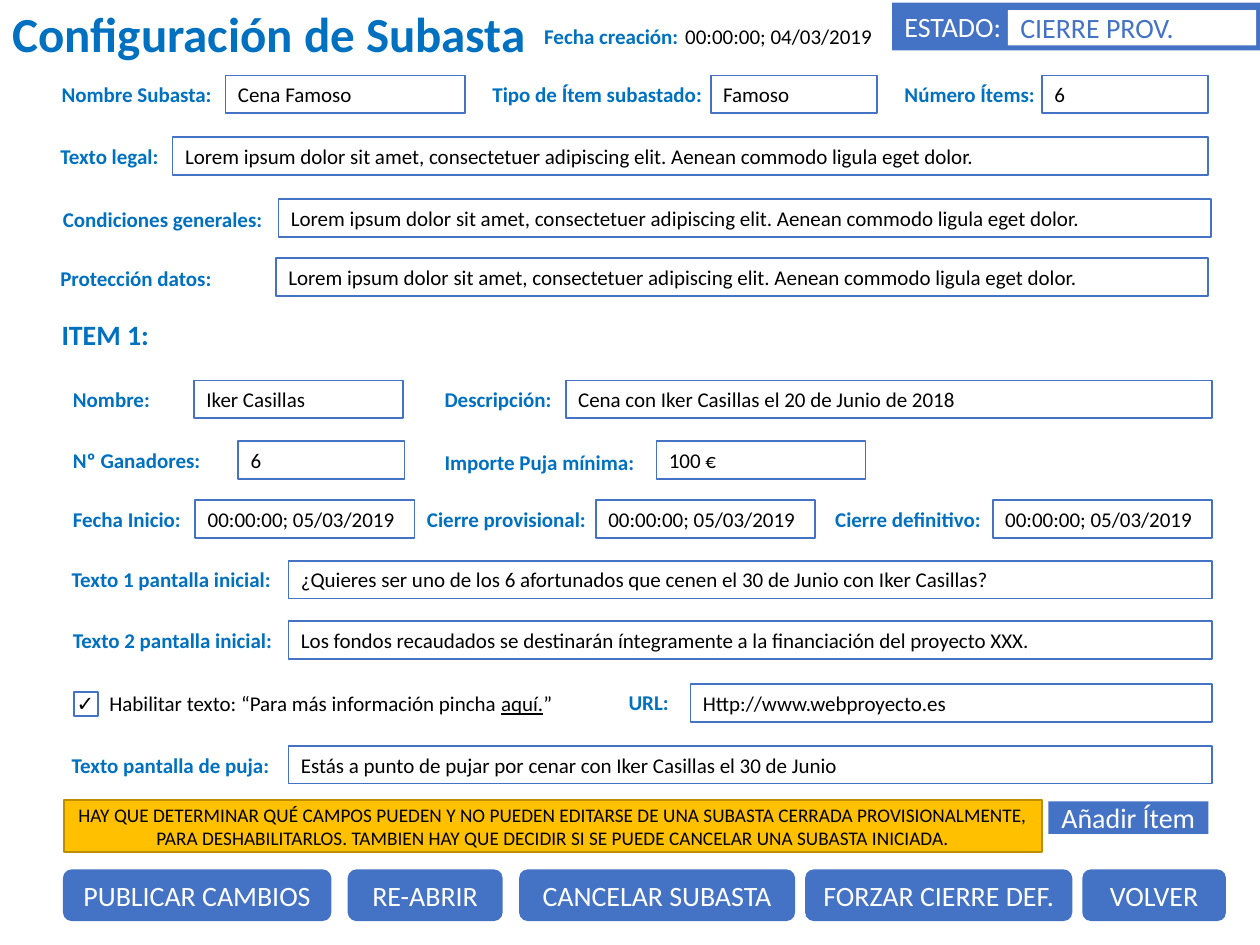
from pptx import Presentation
from pptx.dml.color import RGBColor
from pptx.enum.shapes import MSO_SHAPE
from pptx.enum.text import MSO_ANCHOR, MSO_AUTO_SIZE, PP_ALIGN
from pptx.util import Inches, Pt

RECT, ROUNDED = MSO_SHAPE.RECTANGLE, MSO_SHAPE.ROUNDED_RECTANGLE
LEFT, CENTER = PP_ALIGN.LEFT, PP_ALIGN.CENTER
TOP, MIDDLE = MSO_ANCHOR.TOP, MSO_ANCHOR.MIDDLE
COLORS = {"label": "0070C0", "accent": "4472C4", "text": "000000",
          "white": "FFFFFF", "warning": "FFC000", "warning_edge": "BD8E00"}
ROW_HEIGHT = 0.3
LOREM = ("Lorem ipsum dolor sit amet, consectetuer adipiscing elit. "
         "Aenean commodo ligula eget dolor.")


def write(shape, text, size=12, color="text", bold=False, align=LEFT, anchor=MIDDLE, wrap=True):
    frame = shape.text_frame
    frame.text = text
    frame.word_wrap = wrap
    frame.auto_size = MSO_AUTO_SIZE.NONE
    frame.vertical_anchor = anchor
    paragraph = frame.paragraphs[0]
    paragraph.alignment = align
    font = paragraph.runs[0].font
    font.name, font.size, font.bold = "Calibri", Pt(size), bold
    font.color.rgb = RGBColor.from_string(COLORS[color])
    return paragraph


def add_box(left, top, width, height, fill=None, line=None, kind=RECT):
    box = page.shapes.add_shape(kind, Inches(left), Inches(top), Inches(width), Inches(height))
    box.shadow.inherit = False
    if fill:
        box.fill.solid()
        box.fill.fore_color.rgb = RGBColor.from_string(COLORS[fill])
    else:
        box.fill.background()
    if line:
        box.line.color.rgb = RGBColor.from_string(COLORS[line])
        box.line.width = Pt(1)
    else:
        box.line.fill.background()
    return box


deck = Presentation()
deck.slide_width, deck.slide_height = Inches(10), Inches(7.5)
page = deck.slides.add_slide(deck.slide_layouts[5])

title = page.shapes.title
title.left, title.top = Inches(0), Inches(-0.02)
title.width, title.height = Inches(7.83), Inches(0.57)
write(title, "Configuración de Subasta", 28, "label", True, anchor=TOP)

# Labels: text, left, top, width
labels = [
    ("Fecha creación:", 4.22, 0.14, 1.28),
    ("Nombre Subasta:", 0.39, 0.6, 1.4),
    ("Tipo de Ítem subastado:", 3.81, 0.6, 1.89),
    ("Número Ítems:", 7.08, 0.6, 1.25),
    ("Texto legal:", 0.38, 1.09, 0.99),
    ("Condiciones generales:", 0.4, 1.59, 1.81),
    ("Protección datos:", 0.38, 2.06, 1.41),
    ("Nombre:", 0.48, 3.02, 0.82),
    ("Descripción:", 3.43, 3.02, 1.06),
    ("Nº Ganadores:", 0.48, 3.5, 1.22),
    ("Importe Puja mínima:", 3.43, 3.52, 1.73),
    ("Fecha Inicio:", 0.48, 3.97, 1.07),
    ("Cierre provisional:", 3.29, 3.97, 1.52),
    ("Cierre definitivo:", 6.53, 3.97, 1.41),
    ("Texto 1 pantalla inicial:", 0.47, 4.45, 1.81),
    ("Texto 2 pantalla inicial:", 0.48, 4.93, 1.81),
    ("URL:", 4.89, 5.42, 0.52),
    ("Texto pantalla de puja:", 0.47, 5.92, 1.79),
]
for text, left, top, width in labels:
    label = page.shapes.add_textbox(Inches(left), Inches(top), Inches(width), Inches(ROW_HEIGHT))
    write(label, text, color="label", bold=True, anchor=TOP, wrap=False)

item_heading = page.shapes.add_textbox(Inches(0.39), Inches(2.47), Inches(0.9), Inches(0.37))
write(item_heading, "ITEM 1:", 16, "label", True, anchor=TOP, wrap=False)

# Input fields: text, left, top, width
fields = [
    ("Cena Famoso", 1.79, 0.6, 1.9),
    ("Famoso", 5.64, 0.6, 1.32),
    ("6", 8.27, 0.6, 1.32),
    (LOREM, 1.37, 1.09, 8.22),
    (LOREM, 2.21, 1.58, 7.4),
    (LOREM, 2.19, 2.05, 7.4),
    ("Iker Casillas", 1.54, 3.02, 1.66),
    ("Cena con Iker Casillas el 20 de Junio de 2018", 4.49, 3.02, 5.13),
    ("6", 1.89, 3.5, 1.32),
    ("100 €", 5.21, 3.5, 1.66),
    ("00:00:00; 05/03/2019", 1.55, 3.97, 1.74),
    ("00:00:00; 05/03/2019", 4.73, 3.97, 1.74),
    ("00:00:00; 05/03/2019", 7.88, 3.97, 1.74),
    ("¿Quieres ser uno de los 6 afortunados que cenen el 30 de Junio con Iker Casillas?",
     2.29, 4.45, 7.33),
    ("Los fondos recaudados se destinarán íntegramente a la financiación del proyecto XXX.",
     2.29, 4.93, 7.33),
    ("Http://www.webproyecto.es", 5.48, 5.43, 4.14),
    ("Estás a punto de pujar por cenar con Iker Casillas el 30 de Junio", 2.29, 5.92, 7.33),
]
for text, left, top, width in fields:
    write(add_box(left, top, width, ROW_HEIGHT, line="accent"), text)

creation_date = page.shapes.add_textbox(Inches(5.34), Inches(0.14), Inches(1.74), Inches(ROW_HEIGHT))
write(creation_date, "00:00:00; 04/03/2019")

# Checkbox with its sentence
add_box(0.59, 5.49, 0.19, 0.19, line="accent")
check = page.shapes.add_textbox(Inches(0.51), Inches(5.43), Inches(0.37), Inches(ROW_HEIGHT))
write(check, "✓", anchor=TOP, wrap=False)
option = page.shapes.add_textbox(Inches(0.77), Inches(5.43), Inches(4.36), Inches(ROW_HEIGHT))
sentence = write(option, "Habilitar texto: “Para más información pincha ", anchor=TOP)
for text, underlined in (("aquí.", True), ("”", False)):
    span = sentence.add_run()
    span.text = text
    span.font.name, span.font.size, span.font.underline = "Calibri", Pt(12), underlined
    span.font.color.rgb = RGBColor.from_string(COLORS["text"])

# Auction status
write(add_box(7.08, 0.02, 2.94, 0.38, "accent"), "ESTADO:", 16, "white")
write(add_box(8, 0.08, 1.97, 0.28, "white"), "CIERRE PROV.", 16, "accent")

warning = add_box(0.51, 6.35, 7.76, 0.41, "warning", "warning_edge")
write(warning, "HAY QUE DETERMINAR QUÉ CAMPOS PUEDEN Y NO PUEDEN EDITARSE DE UNA SUBASTA CERRADA "
      "PROVISIONALMENTE, PARA DESHABILITARLOS. TAMBIEN HAY QUE DECIDIR SI SE PUEDE CANCELAR "
      "UNA SUBASTA INICIADA.", 11, align=CENTER)

# Buttons
write(add_box(8.32, 6.36, 1.27, 0.26, "accent"), "Añadir Ítem", 16, "white", align=CENTER)
buttons = [
    ("PUBLICAR CAMBIOS", 0.5, 2.13),
    ("RE-ABRIR", 2.76, 1.23),
    ("CANCELAR SUBASTA", 4.12, 2.19),
    ("FORZAR CIERRE DEF.", 6.39, 2.12),
    ("VOLVER", 8.59, 1.14),
]
for text, left, width in buttons:
    button = add_box(left, 6.9, width, 0.41, "accent", kind=ROUNDED)
    write(button, text, 16, "white", align=CENTER)

deck.save("out.pptx")
